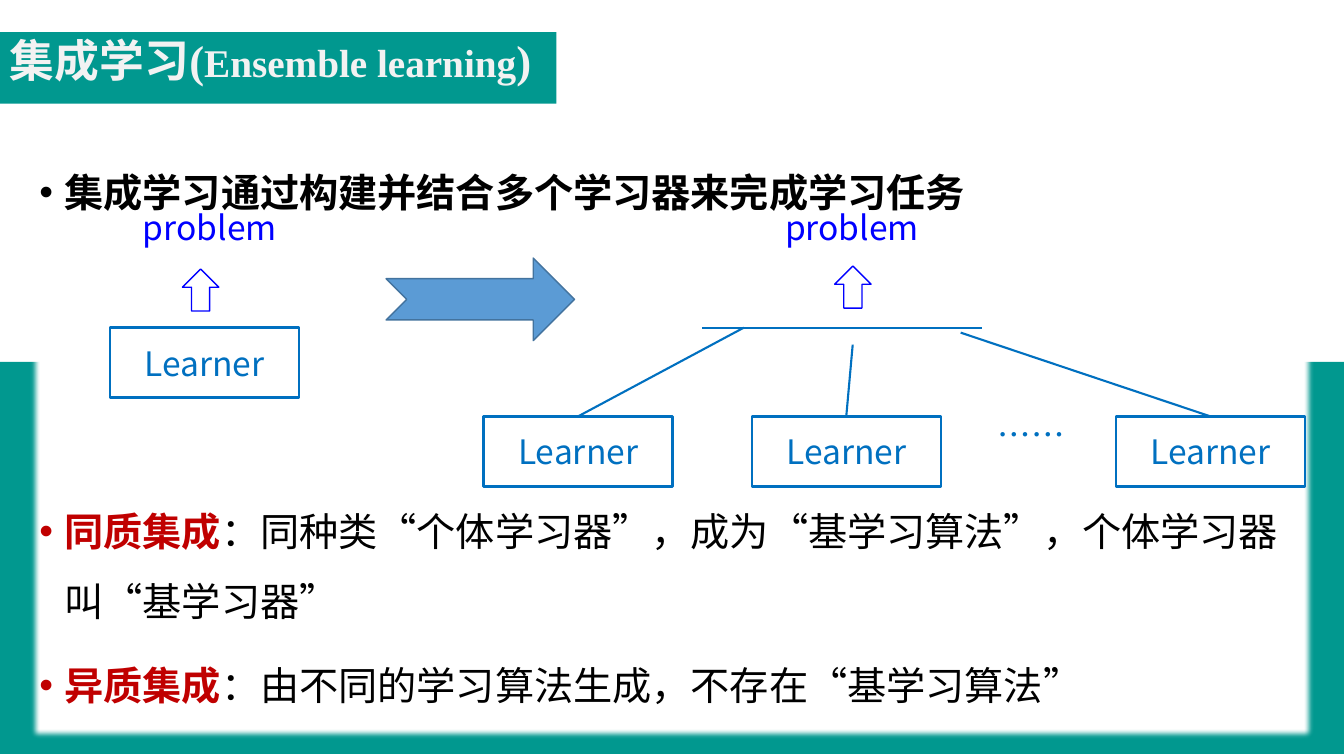
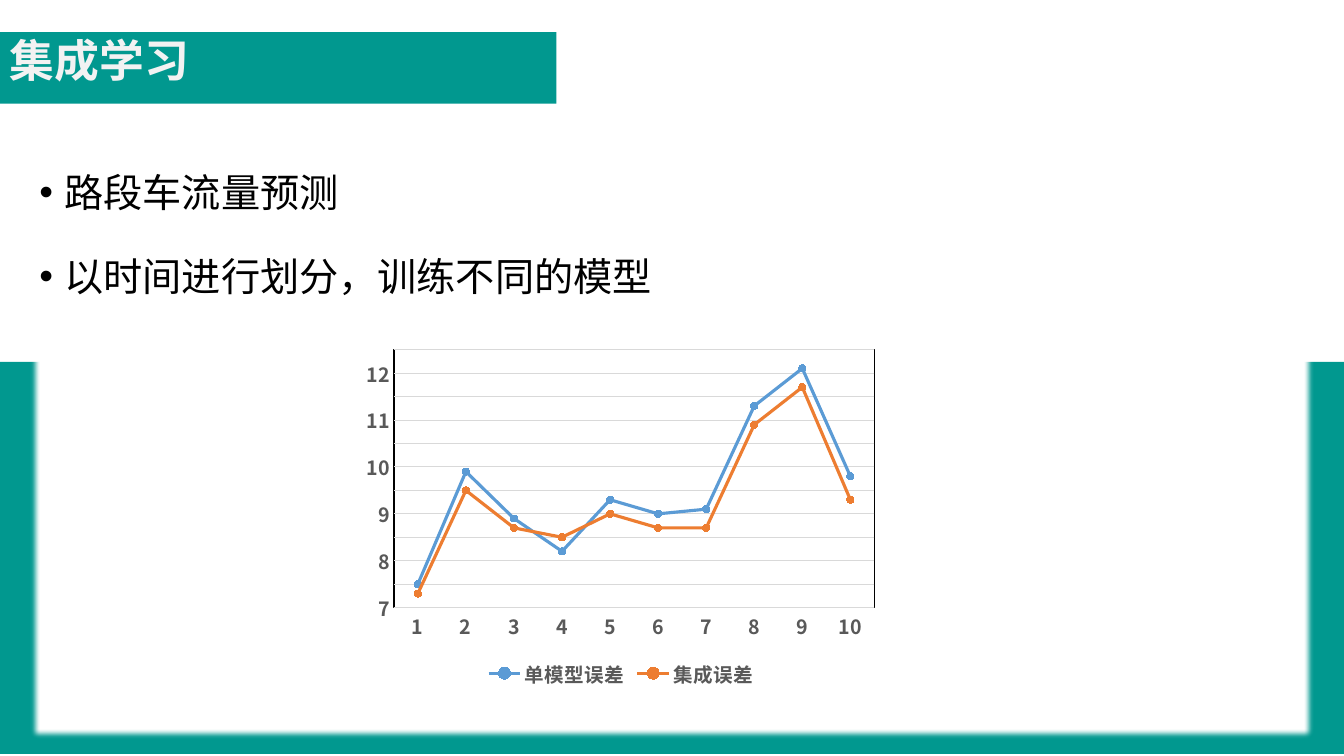
"""Build two slides on ensemble learning."""
from copy import deepcopy
from dataclasses import dataclass
from typing import Any

from lxml.etree import SubElement
from pptx import Presentation
from pptx.chart.data import CategoryChartData
from pptx.dml.color import RGBColor
from pptx.enum.chart import XL_CHART_TYPE, XL_LEGEND_POSITION, XL_MARKER_STYLE, XL_TICK_MARK
from pptx.enum.shapes import MSO_CONNECTOR, MSO_SHAPE
from pptx.enum.text import MSO_ANCHOR, PP_ALIGN
from pptx.oxml import parse_xml
from pptx.oxml.ns import nsdecls, qn
from pptx.util import Pt

TEAL = RGBColor(0x01, 0x98, 0x8F)
WHITE = RGBColor(0xFF, 0xFF, 0xFF)
PALE = RGBColor(0xF2, 0xF2, 0xF2)
BLACK = RGBColor(0, 0, 0)
RED = RGBColor(0xC0, 0, 0)
BLUE = RGBColor(0, 0x70, 0xC0)
PURE = RGBColor(0, 0, 0xFF)
SKY = RGBColor(0x5B, 0x9B, 0xD5)
NAVY = RGBColor(0x43, 0x73, 0x9E)
AMBER = RGBColor(0xED, 0x7D, 0x31)
GREY = RGBColor(0x59, 0x59, 0x59)
RULE = RGBColor(0xD9, 0xD9, 0xD9)
SANS = "Noto Sans CJK SC"
SERIF = "Times New Roman"
BOX = (135, 50)
ARROW = (26, 30)


@dataclass
class Run:
    text: str
    size: float = 28
    color: RGBColor = BLACK
    bold: bool = False
    font: str = SANS


@dataclass
class Point:
    runs: list[Run]
    gap: float = 10


@dataclass
class Line:
    name: str
    color: RGBColor
    vals: list[float]


def put(item: Any, vals: dict[str, Any]) -> None:
    for key, val in vals.items():
        setattr(item, key, val)


def write(para: Any, runs: list[Run]) -> None:
    for run in runs:
        part = para.add_run()
        part.text = run.text
        put(part.font, {"size": Pt(run.size), "bold": run.bold, "name": run.font})
        part.font.color.rgb = run.color
        SubElement(part._r.get_or_add_rPr(), qn("a:ea"), typeface=run.font)


def shape(slide: Any, kind: Any, left: float, top: float, wide: float, high: float,
          fill: RGBColor | None = None, edge: RGBColor | None = None, weight: float = 1) -> Any:
    item = slide.shapes.add_shape(kind, Pt(left), Pt(top), Pt(wide), Pt(high))
    item.shadow.inherit = False
    if fill is None:
        item.fill.background()
    else:
        item.fill.solid()
        item.fill.fore_color.rgb = fill
    if edge is None:
        item.line.fill.background()
    else:
        item.line.color.rgb = edge
        item.line.width = Pt(weight)
    return item


def label(slide: Any, left: float, top: float, wide: float, high: float, runs: list[Run]) -> Any:
    frame = slide.shapes.add_textbox(Pt(left), Pt(top), Pt(wide), Pt(high)).text_frame
    frame.word_wrap = True
    write(frame.paragraphs[0], runs)
    return frame


def box(slide: Any, left: float, top: float) -> Any:
    item = shape(slide, MSO_SHAPE.RECTANGLE, left, top, *BOX, edge=BLUE, weight=1.75)
    frame = item.text_frame
    put(frame, {"vertical_anchor": MSO_ANCHOR.MIDDLE, "word_wrap": True})
    frame.paragraphs[0].alignment = PP_ALIGN.CENTER
    write(frame.paragraphs[0], [Run("Learner", 24, BLUE)])
    return item


def link(slide: Any, start: tuple[float, float], end: tuple[float, float],
         child: Any = None) -> None:
    ends = [Pt(num) for num in (*start, *end)]
    line = slide.shapes.add_connector(MSO_CONNECTOR.STRAIGHT, *ends)
    if child is not None:
        line.begin_connect(child, 0)
    line.line.width = Pt(1.5)
    line.line.color.rgb = BLUE
    SubElement(line._element.spPr, qn("a:effectLst"))


def base(deck: Any, title: list[Run], points: list[Point]) -> Any:
    slide = deck.slides.add_slide(deck.slide_layouts[6])
    shape(slide, MSO_SHAPE.RECTANGLE, 0, 23, 397.4, 51, TEAL)
    shape(slide, MSO_SHAPE.RECTANGLE, 0, 258.5, 960, 280, TEAL)
    head = label(slide, 0, 1.5, 828, 87, title)
    head.vertical_anchor = MSO_ANCHOR.MIDDLE
    head.paragraphs[0].line_spacing = 0.9
    panel = shape(slide, MSO_SHAPE.RECTANGLE, 21, 98.5, 918.5, 430.5, WHITE)
    glow = panel._element.spPr.find(qn("a:effectLst"))
    SubElement(glow, qn("a:softEdge"), rad=str(Pt(5)))
    frame = panel.text_frame
    put(frame, {"vertical_anchor": MSO_ANCHOR.TOP, "word_wrap": True, "margin_top": Pt(5.6)})
    for num, point in enumerate(points):
        para = frame.add_paragraph() if num else frame.paragraphs[0]
        put(para, {"alignment": PP_ALIGN.LEFT, "line_spacing": Pt(50),
                   "space_before": Pt(point.gap)})
        props = para._p.get_or_add_pPr()
        for key, val in {"marL": Pt(18), "indent": Pt(-18)}.items():
            props.set(key, str(val))
        SubElement(props, qn("a:buFont"), typeface="Arial")
        SubElement(props, qn("a:buChar"), char="•")
        write(para, point.runs)
    return slide


def scheme(deck: Any) -> None:
    title = [Run("集成学习", 32, PALE, True), Run("(", 32, PALE, True, SERIF),
             Run("Ensemble learning", 28, PALE, True, SERIF), Run(")", 32, PALE, True, SERIF)]
    slide = base(deck, title, [
        Point([Run("集成学习通过构建并结合多个学习器来完成学习任务", bold=True)], 0),
        Point([Run("同质集成", color=RED, bold=True),
               Run("：同种类“个体学习器”，成为“基学习算法”，个体学习器叫“基学习器”")], 192),
        Point([Run("异质集成", color=RED, bold=True),
               Run("：由不同的学习算法生成，不存在“基学习算法”")]),
    ])
    for left in (95, 553.7):
        label(slide, left, 144, 159, 36, [Run("problem", 24, PURE)])
    for left, top in ((130.3, 192.2), (596.2, 190.1)):
        shape(slide, MSO_SHAPE.UP_ARROW, left, top, *ARROW, edge=PURE)
    box(slide, 78.5, 234)
    tops = ((345.5, (531.4, 234)), (537, (609.1, 246.2)), (797, (686.2, 237.6)))
    for left, end in tops:
        child = box(slide, left, 297.4)
        link(slide, (left + BOX[0] / 2, 297.4), end, child)
    link(slide, (501.8, 234), (701.3, 234))
    label(slide, 705.6, 292.4, 80, 36, [Run("……", 24, BLUE)])
    shape(slide, MSO_SHAPE.NOTCHED_RIGHT_ARROW, 275.8, 184.3, 134.6, 59, SKY, NAVY)


def graph(slide: Any, lines: list[Line]) -> None:
    data = CategoryChartData()
    data.categories = [str(num) for num in range(1, 11)]
    for line in lines:
        data.add_series(line.name, line.vals)
    chart = slide.shapes.add_chart(XL_CHART_TYPE.LINE_MARKERS, Pt(254.9), Pt(244.8),
                                   Pt(377.3), Pt(249.1), data).chart
    put(chart, {"has_title": False, "has_legend": True})
    put(chart.font, {"size": Pt(10), "name": SANS})
    put(chart.legend, {"position": XL_LEGEND_POSITION.BOTTOM, "include_in_layout": False})
    cats, vals = chart.category_axis, chart.value_axis
    for axis in (cats, vals):
        put(axis, {"major_tick_mark": XL_TICK_MARK.NONE, "minor_tick_mark": XL_TICK_MARK.NONE})
    put(vals, {"minimum_scale": 7, "maximum_scale": 12.5, "major_unit": 1, "minor_unit": 0.5,
               "has_major_gridlines": True, "has_minor_gridlines": True})
    put(vals.tick_labels, {"number_format": "0", "number_format_is_linked": False})
    for rule in (cats.format, vals.major_gridlines.format):
        rule.line.color.rgb = RULE
        rule.line.width = Pt(0.75)
    root = chart._chartSpace
    major, minor = (root.find(f".//{qn(tag)}") for tag in ("c:majorGridlines", "c:minorGridlines"))
    minor.append(deepcopy(major.find(qn("c:spPr"))))
    vals.format.line.fill.background()
    for font in (cats.tick_labels.font, vals.tick_labels.font, chart.legend.font):
        put(font, {"size": Pt(14), "bold": True, "name": SANS})
        font.color.rgb = GREY
    plot = chart.plots[0]
    plot.vary_by_categories = False
    for item, line in zip(plot.series, lines):
        item.smooth = False
        put(item.marker, {"style": XL_MARKER_STYLE.CIRCLE, "size": 5})
        item.format.line.width = Pt(2.25)
        item.format.line.color.rgb = line.color
        item.marker.format.fill.solid()
        item.marker.format.fill.fore_color.rgb = line.color
        item.marker.format.line.color.rgb = line.color
    for props in root.iter(qn("a:defRPr")):
        SubElement(props, qn("a:ea"), typeface=SANS)
    area = root.find(f".//{qn('c:plotArea')}")
    for old in area.findall(qn("c:layout")):
        area.remove(old)
    area.insert(0, parse_xml(
        f'<c:layout {nsdecls("c")}><c:manualLayout><c:layoutTarget val="inner"/>'
        '<c:xMode val="edge"/><c:yMode val="edge"/><c:x val="0.07"/><c:y val="0.02"/>'
        '<c:w val="0.91"/><c:h val="0.74"/></c:manualLayout></c:layout>'))
    area.append(parse_xml(
        f'<c:spPr {nsdecls("c", "a")}><a:solidFill><a:srgbClr val="{WHITE}"/></a:solidFill>'
        f'<a:ln w="{Pt(1)}"><a:solidFill><a:srgbClr val="{BLACK}"/></a:solidFill></a:ln></c:spPr>'))


def errors(deck: Any) -> None:
    slide = base(deck, [Run("集成学习", 32, PALE, True)], [
        Point([Run("路段车流量预测")], 0),
        Point([Run("以时间进行划分，训练不同的模型")]),
    ])
    graph(slide, [
        Line("单模型误差", SKY, [7.5, 9.9, 8.9, 8.2, 9.3, 9, 9.1, 11.3, 12.1, 9.8]),
        Line("集成误差", AMBER, [7.3, 9.5, 8.7, 8.5, 9, 8.7, 8.7, 10.9, 11.7, 9.3]),
    ])


def main() -> None:
    deck = Presentation()
    put(deck, {"slide_width": Pt(960), "slide_height": Pt(540)})
    scheme(deck)
    errors(deck)
    deck.save("out.pptx")


if __name__ == "__main__":
    main()
